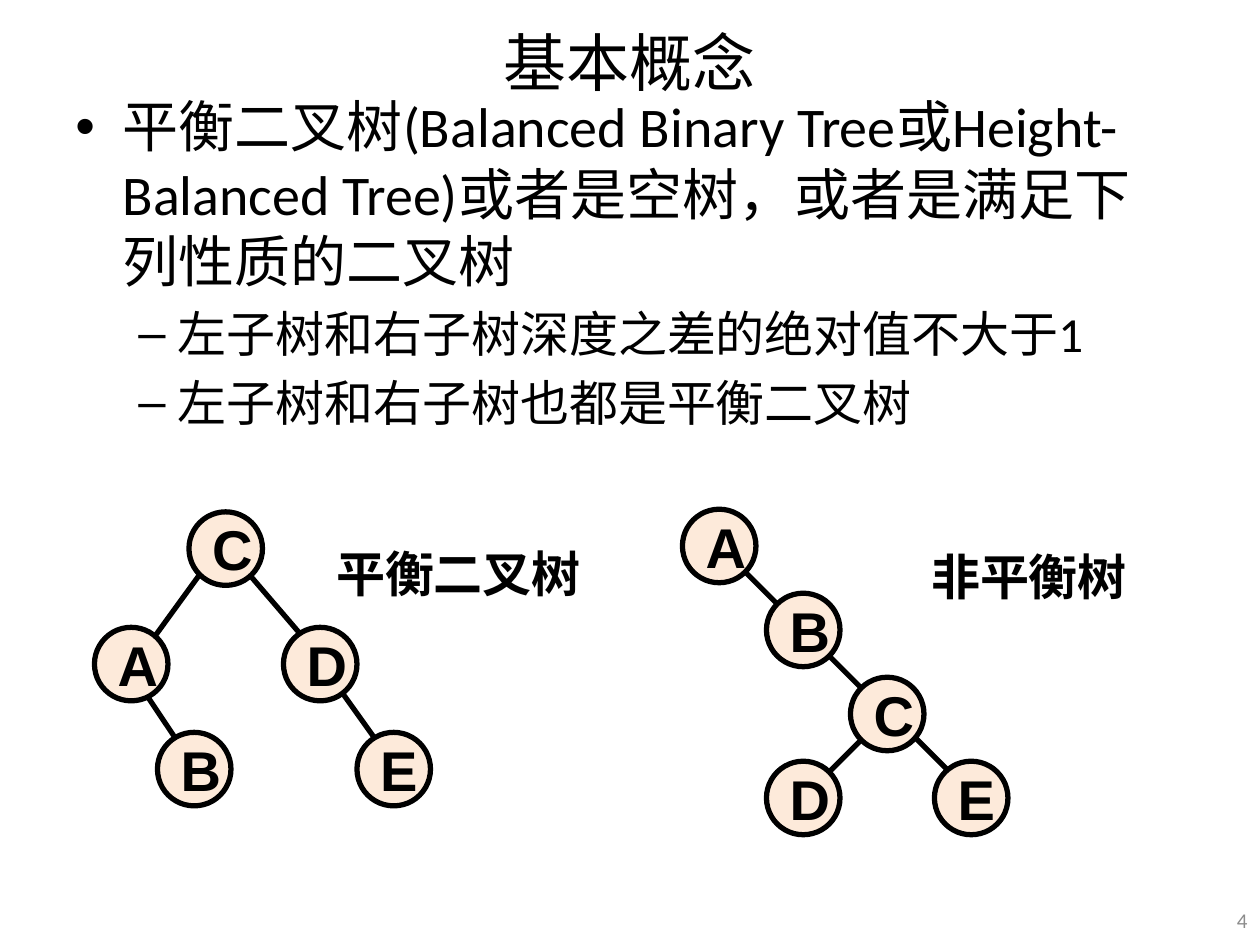
from pptx import Presentation
from pptx.dml.color import RGBColor
from pptx.enum.shapes import MSO_CONNECTOR, MSO_SHAPE
from pptx.enum.text import MSO_ANCHOR, PP_ALIGN
from pptx.oxml.ns import qn
from pptx.util import Pt
from lxml.etree import SubElement

COLORS = {"ink": "000000", "node": "FDEADA", "page": "8C8C8C"}
CJK = "Noto Sans CJK SC"
SIZE = 42

BODY = [
    (0, "平衡二叉树(Balanced Binary Tree或Height-Balanced Tree)或者是空树，或者是满足下列性质的二叉树"),
    (1, "左子树和右子树深度之差的绝对值不大于1"),
    (1, "左子树和右子树也都是平衡二叉树"),
]
# Per level: text size, left margin, hanging indent, bullet
LEVELS = [(32, 27, 27, "•"), (28, 58.5, 22.5, "–")]

EVEN = {
    "nodes": {"A": (54, 358.5), "B": (90, 418.5), "C": (108, 292.5),
              "D": (162, 358.5), "E": (204, 418.5)},
    "edges": [(78, 388.5, 102, 424.5), (186, 382.5, 216, 424.5),
              (137.5, 322.5, 173.5, 364.5), (114, 328.5, 83.5, 370.5)],
}
STEP = 48
SKEW = {
    "nodes": {name: (390 + col * STEP, 291 + row * STEP)
              for name, col, row in [("A", 0, 0), ("B", 1, 1), ("C", 2, 2),
                                     ("D", 1, 3), ("E", 3, 3)]},
    "edges": [(x, y, x + way * 36, y + 36)
              for x, y, way in [(518.5, 417, 1), (462, 363, 1),
                                (408, 309, 1), (498, 417, -1)]],
}


def color(key):
    return RGBColor.from_string(COLORS[key])


def style(para, size, face="Calibri", bold=False, ink="ink"):
    font = para.font
    font.size = Pt(size)
    font.name = face
    font.bold = bold
    font.color.rgb = color(ink)
    props = para._p.get_or_add_pPr().find(qn("a:defRPr"))
    SubElement(props, qn("a:ea")).set("typeface", CJK)


def add_text(slide, box, text, size, align=PP_ALIGN.LEFT,
             anchor=MSO_ANCHOR.TOP, wrap=True, **look):
    frame = slide.shapes.add_textbox(*map(Pt, box)).text_frame
    frame.word_wrap = wrap
    frame.vertical_anchor = anchor
    para = frame.paragraphs[0]
    para.text = text
    para.alignment = align
    style(para, size, **look)


def add_body(slide, box):
    frame = slide.shapes.add_textbox(*map(Pt, box)).text_frame
    frame.word_wrap = True
    for i, (level, text) in enumerate(BODY):
        size, left, hang, mark = LEVELS[level]
        para = frame.add_paragraph() if i else frame.paragraphs[0]
        para.text = text
        para.level = level
        if i:
            para.space_before = Pt(size * 0.2)
        props = para._p.get_or_add_pPr()
        props.set("marL", str(Pt(left)))
        props.set("indent", str(-Pt(hang)))
        SubElement(props, qn("a:buFont")).set("typeface", "Arial")
        SubElement(props, qn("a:buChar")).set("char", mark)
        style(para, size)


def add_edge(group, ends):
    edge = group.shapes.add_connector(MSO_CONNECTOR.STRAIGHT, *map(Pt, ends))
    edge.line.color.rgb = color("ink")
    edge.line.width = Pt(3)
    SubElement(edge._element.spPr, qn("a:effectLst"))


def add_node(group, name, left, top):
    node = group.shapes.add_shape(
        MSO_SHAPE.OVAL, Pt(left), Pt(top), Pt(SIZE), Pt(SIZE))
    node.shadow.inherit = False
    node.fill.solid()
    node.fill.fore_color.rgb = color("node")
    node.line.color.rgb = color("ink")
    node.line.width = Pt(3)
    frame = node.text_frame
    frame.word_wrap = False
    frame.vertical_anchor = MSO_ANCHOR.MIDDLE
    para = frame.paragraphs[0]
    para.text = name
    para.alignment = PP_ALIGN.LEFT
    style(para, 32, "Arial", True)


def add_tree(slide, tree):
    group = slide.shapes.add_group_shape()
    for ends in tree["edges"]:
        add_edge(group, ends)
    for name, spot in tree["nodes"].items():
        add_node(group, name, *spot)


def main():
    deck = Presentation()
    deck.slide_width, deck.slide_height = Pt(720), Pt(540)
    slide = deck.slides.add_slide(deck.slide_layouts[6])
    add_text(slide, (36, -2, 648, 73.5), "基本概念", 36,
             PP_ALIGN.CENTER, MSO_ANCHOR.MIDDLE)
    add_body(slide, (36, 49, 648, 491))
    add_text(slide, (689, 511, 31, 29), "4", 12,
             PP_ALIGN.RIGHT, MSO_ANCHOR.MIDDLE, ink="page")
    add_text(slide, (185, 307, 156, 41), "平衡二叉树", 28,
             wrap=False, face=CJK, bold=True)
    add_tree(slide, EVEN)
    add_tree(slide, SKEW)
    add_text(slide, (525, 309, 128, 41), "非平衡树", 28,
             wrap=False, face=CJK, bold=True)
    deck.save("out.pptx")


if __name__ == "__main__":
    main()
